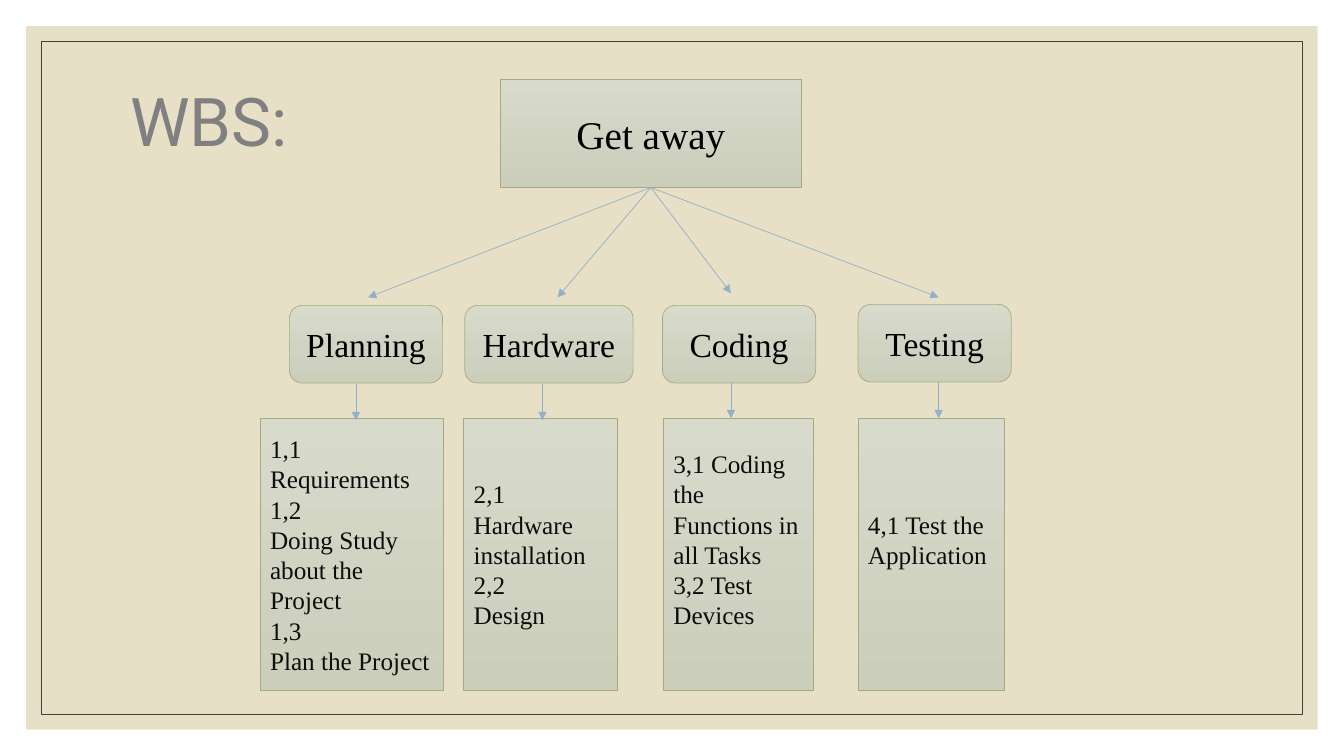
from lxml.etree import SubElement
from pptx import Presentation
from pptx.dml.color import RGBColor
from pptx.enum.shapes import MSO_CONNECTOR, MSO_SHAPE as Shape
from pptx.enum.text import MSO_ANCHOR, PP_ALIGN as Align
from pptx.oxml.ns import qn
from pptx.util import Inches, Pt

WIDTH, HEIGHT = 13.33, 7.5
SERIF = "Times New Roman"
TITLE = "WBS:"
PROJECT = "Get away"
PROJECT_BOX = (4.96, 0.79, 2.99, 1.07)
BRANCH_HEIGHT = 0.77
TASK_TOP, TASK_HEIGHT = 4.15, 2.7
SPARE_LINE = 0.3  # room kept free below a text, one 18 pt line

# branch and tasks: (left, width); fan: arrow tip from the project;
# drop: (x, top) of the arrow to the tasks; spare: free lines below the tasks
BRANCHES = [
    dict(name="Planning", branch=(2.87, 1.52), top=3.03, tasks=(2.58, 1.82),
         fan=(3.65, 2.95), drop=(3.53, 3.81), spare=0,
         lines=["1,1", "Requirements", "1,2", "Doing Study", "about the",
                "Project", "1,3", "Plan the Project"]),
    dict(name="Hardware", branch=(4.61, 1.67), top=3.03, tasks=(4.6, 1.52),
         fan=(5.53, 2.95), drop=(5.38, 3.81), spare=0,
         lines=["2,1", "Hardware installation", "2,2", "Design"]),
    dict(name="Coding", branch=(6.57, 1.52), top=3.03, tasks=(6.58, 1.49),
         fan=(7.25, 2.91), drop=(7.25, 3.79), spare=1,
         lines=["3,1 Coding the Functions in all Tasks", "3,2 Test Devices"]),
    dict(name="Testing", branch=(8.51, 1.52), top=3.02, tasks=(8.51, 1.45),
         fan=(9.31, 2.95), drop=(9.31, 3.79), spare=1,
         lines=["4,1 Test the Application"]),
]
DROP_LENGTH = 0.36


def color(hex_string):
    return RGBColor.from_string(hex_string)


def write(frame, lines, size, font, ink, align, spare=0):
    """Fill a text frame, centred vertically above the spare lines."""
    layout = dict(word_wrap=True, vertical_anchor=MSO_ANCHOR.MIDDLE,
                  margin_bottom=Inches(0.05 + spare * SPARE_LINE))
    for name, value in layout.items():
        setattr(frame, name, value)
    for index, line in enumerate(lines):
        para = frame.paragraphs[0] if index == 0 else frame.add_paragraph()
        para.alignment = align
        span = para.add_run()
        span.text = line
        for name, value in dict(size=Pt(size), name=font).items():
            setattr(span.font, name, value)
        span.font.color.rgb = color(ink)


def add_panel(page, kind, area, fill=None, line=None):
    panel = page.shapes.add_shape(kind, *map(Inches, area))
    panel.shadow.inherit = False
    if fill:
        panel.fill.solid()
        panel.fill.fore_color.rgb = color(fill)
    else:
        panel.fill.background()
    if line:
        panel.line.color.rgb = color(line)
        panel.line.width = Pt(0.5)
    else:
        panel.line.fill.background()
    return panel


def add_box(page, kind, area, lines, size, ink="000000",
            align=Align.CENTER, spare=0):
    """Add a shaded box with text."""
    box = add_panel(page, kind, area, line="A5AB81")
    box.fill.gradient()
    box.fill.gradient_angle = 270
    for stop, shade in zip(box.fill.gradient_stops, ("D8DBCC", "CBCEBA")):
        stop.color.rgb = color(shade)
    write(box.text_frame, lines, size, SERIF, ink, align, spare)
    return box


def add_arrow(page, start, end):
    arrow = page.shapes.add_connector(
        MSO_CONNECTOR.STRAIGHT, *map(Inches, (*start, *end)))
    arrow.line.color.rgb = color("92B0C8")
    arrow.line.width = Pt(0.5)
    SubElement(arrow.line._get_or_add_ln(), qn("a:tailEnd"), type="triangle")
    SubElement(arrow._element.spPr, qn("a:effectLst"))
    return arrow


def add_title(page):
    title = page.shapes.title
    place = zip(("left", "top", "width", "height"), (0.69, 0.73, 3.11, 1.21))
    for name, value in place:
        setattr(title, name, Inches(value))
    write(title.text_frame, [TITLE], 48, "Roboto", "808080", Align.LEFT, 1)
    title.text_frame.margin_left = Inches(0.6)


def add_tree(page):
    project = add_box(page, Shape.RECTANGLE, PROJECT_BOX, [PROJECT], 28)
    left, top, width, height = PROJECT_BOX
    root = (left + width / 2, top + height)
    for item in BRANCHES:
        left, width = item["branch"]
        add_box(page, Shape.ROUNDED_RECTANGLE,
                (left, item["top"], width, BRANCH_HEIGHT), [item["name"]], 24)
        left, width = item["tasks"]
        add_box(page, Shape.RECTANGLE, (left, TASK_TOP, width, TASK_HEIGHT),
                item["lines"], 18, "0D0D0D", Align.LEFT, item["spare"])
        add_arrow(page, root, item["fan"]).begin_connect(project, 2)
        x, y = item["drop"]
        add_arrow(page, (x, y), (x, y + DROP_LENGTH))


def main():
    deck = Presentation()
    deck.slide_width, deck.slide_height = Inches(WIDTH), Inches(HEIGHT)
    page = deck.slides.add_slide(deck.slide_layouts[5])
    for inset, look in ((0.26, dict(fill="E7E0C7")),
                        (0.41, dict(line="404040"))):
        area = (inset, inset, WIDTH - 2 * inset, HEIGHT - 2 * inset)
        add_panel(page, Shape.RECTANGLE, area, **look)
    # The title placeholder comes first, so lift it above the panels.
    page.shapes._spTree.append(page.shapes.title._element)
    add_title(page)
    add_tree(page)
    deck.save("out.pptx")


if __name__ == "__main__":
    main()
